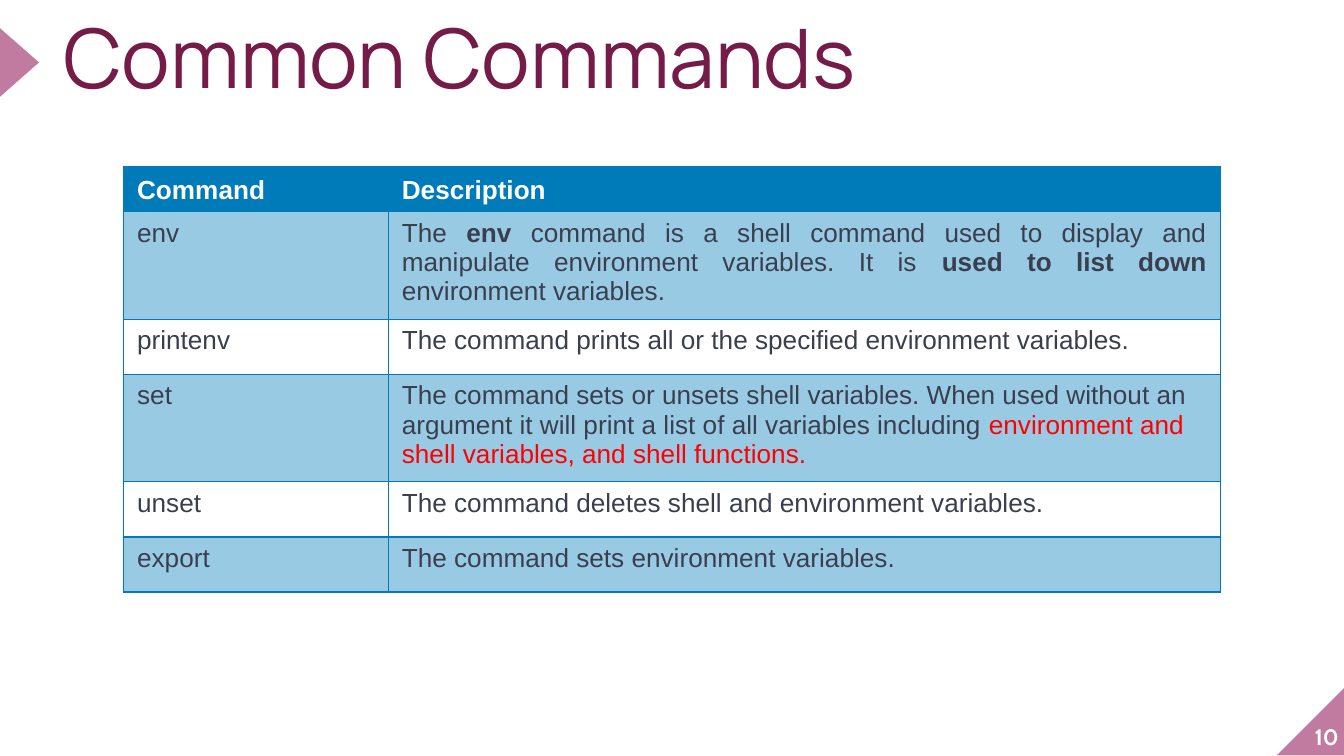
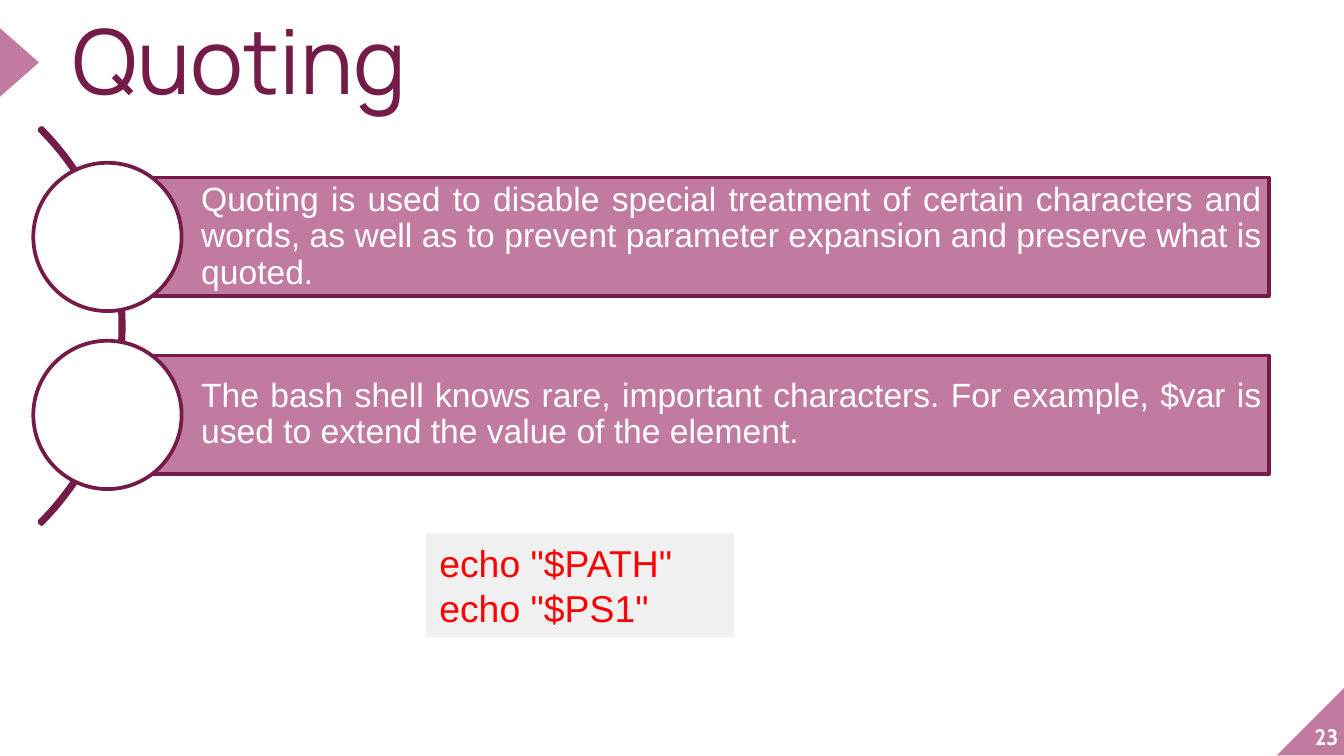
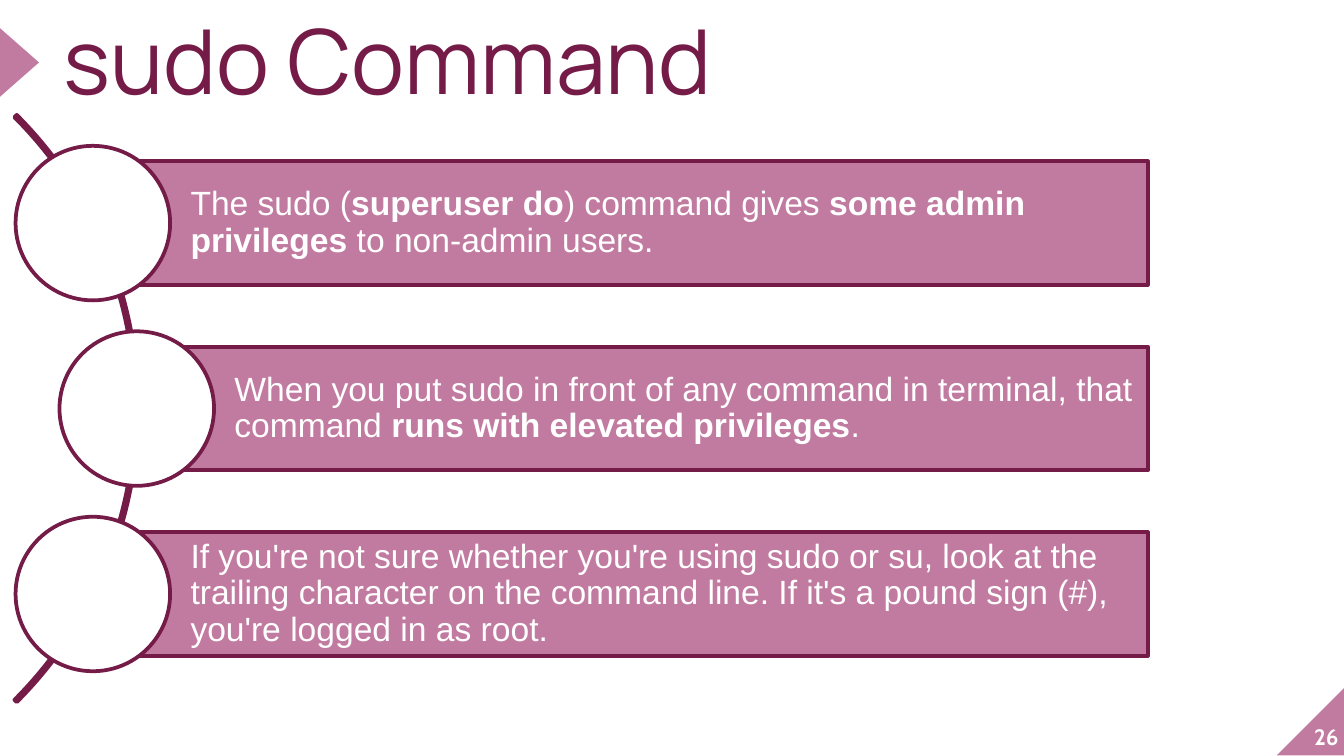
from math import cos, pi, sqrt

from lxml import etree
from pptx import Presentation
from pptx.dml.color import RGBColor
from pptx.enum.shapes import MSO_SHAPE
from pptx.enum.text import MSO_ANCHOR, PP_ALIGN
from pptx.oxml.ns import qn
from pptx.util import Inches, Pt

RECTANGLE, OVAL, ARC = MSO_SHAPE.RECTANGLE, MSO_SHAPE.OVAL, MSO_SHAPE.BLOCK_ARC
TRIANGLE, CORNER = MSO_SHAPE.ISOSCELES_TRIANGLE, MSO_SHAPE.RIGHT_TRIANGLE
TOP, MIDDLE, BOTTOM = MSO_ANCHOR.TOP, MSO_ANCHOR.MIDDLE, MSO_ANCHOR.BOTTOM
LEFT, RIGHT, JUSTIFY = PP_ALIGN.LEFT, PP_ALIGN.RIGHT, PP_ALIGN.JUSTIFY

COLORS = {
    "wine": "741B47",
    "mauve": "C27BA0",
    "blue": "007BB9",
    "ink": "3A3F50",
    "red": "FF0000",
    "code": "F0F0F0",
    "white": "FFFFFF",
}
BODY, TITLE, NUMBER = "Arial", "Manrope", "Cabin"

# The slide is a grid of 100 columns; rows are as tall as columns are wide.
WIDTH = Inches(10)
HEIGHT = WIDTH * 9 // 16
CELL = WIDTH // 100


def grid(*cells):
    return [round(cell * CELL) for cell in cells]


def color(name):
    return RGBColor.from_string(COLORS[name])


def add_shape(page, kind, box, fill=None, line=None):
    shape = page.shapes.add_shape(kind, *grid(*box))
    shape.shadow.inherit = False
    if fill:
        shape.fill.solid()
        shape.fill.fore_color.rgb = color(fill)
    else:
        shape.fill.background()
    if line:
        shape.line.color.rgb = color(line)
        shape.line.width = Pt(2)
    else:
        shape.line.fill.background()
    return shape


def set_frame(frame, anchor, margins):
    frame.word_wrap = True
    frame.vertical_anchor = anchor
    (frame.margin_left, frame.margin_top,
     frame.margin_right, frame.margin_bottom) = grid(*margins)


def write(para, spans, size, ink, font=BODY, bold=False, align=LEFT, spacing=1.0):
    """Fill a paragraph from strings and (text, changes) pairs."""
    para.alignment = align
    para.line_spacing = spacing
    for item in spans:
        text, changes = (item, {}) if isinstance(item, str) else item
        span = para.add_run()
        span.text = text
        span.font.name = font
        span.font.size = Pt(size)
        span.font.bold = changes.get("bold", bold)
        span.font.color.rgb = color(changes.get("ink", ink))


def add_text(page, box, text, anchor, **style):
    frame = page.shapes.add_textbox(*grid(*box)).text_frame
    set_frame(frame, anchor, (0, 0, 0, 0))
    write(frame.paragraphs[0], [text], **style)


def strong(text):
    return text, {"bold": True}


def start_page(deck, title, number, title_box, size=48):
    page = deck.slides.add_slide(deck.slide_layouts[6])
    # Corner with the page number
    add_shape(page, CORNER, (95, 51.1, 5.1, 5.1), "mauve").rotation = 270
    add_text(page, (94.6, 50.7, 5, 5.1), number, BOTTOM, size=12, ink="white",
             font=NUMBER, bold=True, align=RIGHT)
    # Title and its pointer
    add_shape(page, TRIANGLE, (-1.1, 3.2, 5.1, 2.9), "mauve").rotation = 90
    add_text(page, title_box, title, TOP, size=size, ink="wine", font=TITLE,
             spacing=0.8)
    return page


def set_borders(cell, name):
    properties = cell._tc.get_or_add_tcPr()
    for position, side in enumerate(("lnL", "lnR", "lnT", "lnB")):
        line = etree.Element(qn("a:" + side), w=str(Pt(0.75)))
        fill = etree.SubElement(line, qn("a:solidFill"))
        etree.SubElement(fill, qn("a:srgbClr"), val=COLORS[name])
        properties.insert(position, line)


def fill_cell(cell, name, opacity=100):
    cell.fill.solid()
    cell.fill.fore_color.rgb = color(name)
    if opacity < 100:
        tint = cell._tc.tcPr.find(".//" + qn("a:srgbClr"))
        etree.SubElement(tint, qn("a:alpha"), val=str(opacity * 1000))


def add_command_table(page, left, top, columns, rows):
    header_height, row_height = 2.4, 4.1
    height = header_height + row_height * (len(rows) - 1)
    table = page.shapes.add_table(
        len(rows), len(columns), *grid(left, top, sum(columns), height)).table
    table.first_row = table.horz_banding = False
    for column, width in zip(table.columns, grid(*columns)):
        column.width = width
    for index, texts in enumerate(rows):
        header = index == 0
        table.rows[index].height = grid(header_height if header else row_height)[0]
        for cell, spans in zip(table.rows[index].cells, texts):
            if header:
                fill_cell(cell, "blue")
            elif index % 2:
                fill_cell(cell, "blue", 40)
            else:
                cell.fill.background()
            set_borders(cell, "blue")
            cell.vertical_anchor = BOTTOM if header else TOP
            write(cell.text_frame.paragraphs[0], spans, 14,
                  "white" if header else "ink", bold=header,
                  align=JUSTIFY if len(spans) > 3 else LEFT)


def add_curved_list(page, box, diameter, items, align=LEFT):
    """Bars with discs whose centres sit on an arc; gaps are half a bar."""
    left, top, width, height = box
    bar_height = height / (1.5 * len(items) + 0.5)
    disc = 1.25 * bar_height
    radius, thickness = diameter / 2, 0.25
    center_x = left - radius * cos(pi / 4)
    center_y = top + height / 2

    # Arc from 315 to 45 degrees
    arc = add_shape(page, ARC, (center_x - radius, center_y - radius,
                                diameter, diameter), line="wine")
    for index, value in enumerate((189, 27, thickness / diameter)):
        arc.adjustments[index] = value

    # Bars and discs
    for index, spans in enumerate(items):
        middle = top + bar_height * (1 + 1.5 * index)
        track = radius - thickness / 2
        start = center_x + sqrt(track ** 2 - (middle - center_y) ** 2)
        bar = add_shape(page, RECTANGLE, (start, middle - bar_height / 2,
                                          left + width - start, bar_height),
                        "mauve", "wine")
        set_frame(bar.text_frame, MIDDLE, (0.79 * bar_height, 0.5, 0.5, 0.5))
        write(bar.text_frame.paragraphs[0], spans, 18, "white", align=align,
              spacing=0.9)
        add_shape(page, OVAL, (start - disc / 2, middle - disc / 2, disc, disc),
                  "white", "wine")


def add_code(page, box, lines):
    panel = add_shape(page, RECTANGLE, box, "code")
    set_frame(panel.text_frame, MIDDLE, (1, 0.5, 1, 0.5))
    para = panel.text_frame.paragraphs[0]
    for index, line in enumerate(lines):
        if index:
            para.add_line_break()
        write(para, [line], 20, "red")


def build_commands(deck):
    page = start_page(deck, "Common Commands", "10", (4.7, 1.9, 96.7, 6.8), 44)
    add_command_table(page, 9.2, 12.4, (19.7, 61.9), [
        (["Command"], ["Description"]),
        (["env"], ["The ", strong("env "),
                   "command is a shell command used to display and manipulate "
                   "environment variables. It is ",
                   strong("used to list down"), " environment variables."]),
        (["printenv"],
         ["The command prints all or the specified environment variables."]),
        (["set"], ["The command sets or unsets shell variables. When used without "
                   "an argument it will print a list of all variables including ",
                   ("environment and shell variables, and shell functions.",
                    {"ink": "red"})]),
        (["unset"], ["The command deletes shell and environment variables."]),
        (["export"], ["The command sets environment variables."]),
    ])


def build_quoting(deck):
    page = start_page(deck, "Quoting", "23", (5.4, 1.9, 61.7, 6.9))
    add_curved_list(page, (3.1, 8.8, 91.3, 30.9), 41.7, [
        ["Quoting is used to disable special treatment of certain characters and "
         "words, as well as to prevent parameter expansion and preserve what is "
         "quoted."],
        ["The bash shell knows rare, important characters. For example, $var is "
         "used to extend the value of the element."],
    ], JUSTIFY)
    add_code(page, (31.7, 39.7, 22.9, 7.7), ['echo "$PATH"', 'echo "$PS1"'])


def build_sudo(deck):
    page = start_page(deck, "sudo Command", "26", (4.7, 1.9, 61.7, 6.9))
    add_curved_list(page, (1.25, 7.4, 84.15, 46), 61.8, [
        ["The sudo (", strong("superuser do"), ") command gives ",
         strong("some admin privileges"), " to non-admin users."],
        ["When you put sudo in front of any command in terminal, that command ",
         strong("runs with elevated privileges"), "."],
        ["If you're not sure whether you're using sudo or su, look at the trailing "
         "character on the command line. If it's a pound sign (#), you're logged "
         "in as root."],
    ])


def main():
    deck = Presentation()
    deck.slide_width, deck.slide_height = WIDTH, HEIGHT
    build_commands(deck)
    build_quoting(deck)
    build_sudo(deck)
    deck.save("out.pptx")


if __name__ == "__main__":
    main()
